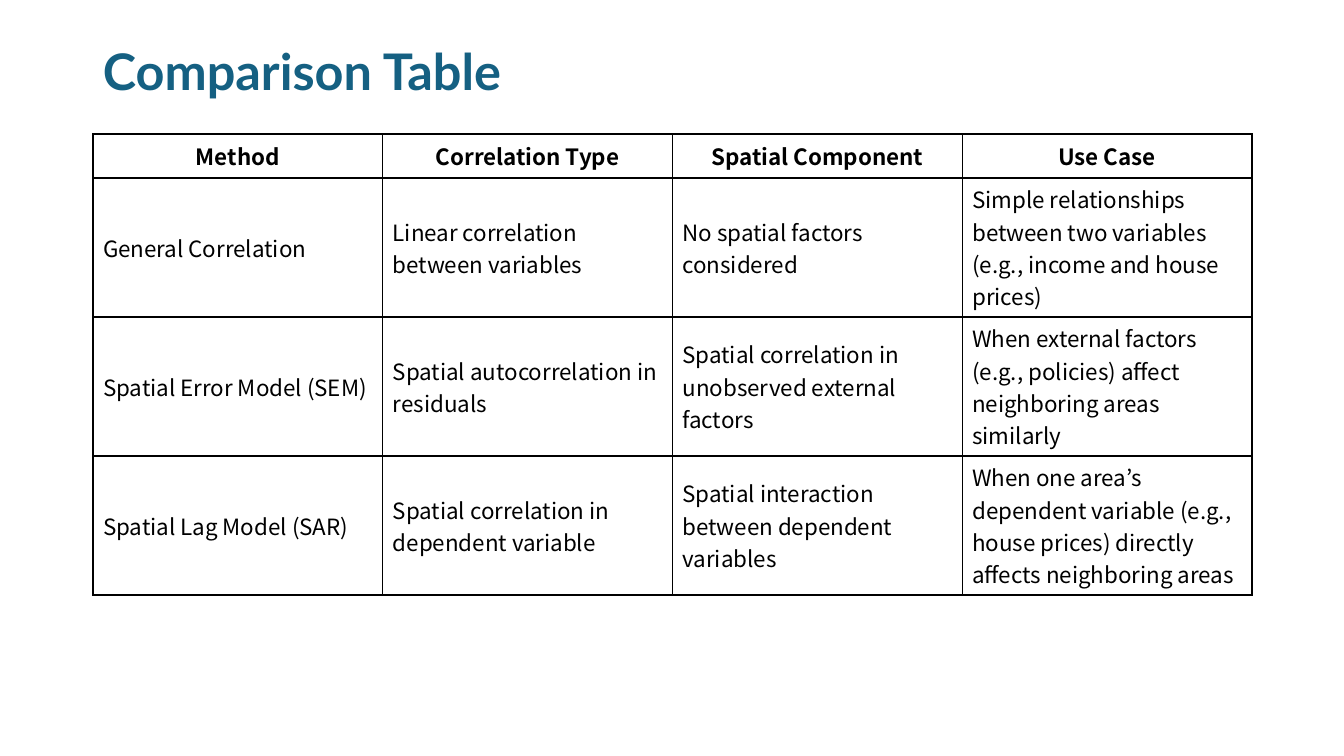
"""Build a slide with a table comparing three correlation methods."""
from dataclasses import dataclass

from lxml.etree import SubElement
from pptx import Presentation
from pptx.dml.color import RGBColor
from pptx.enum.text import MSO_ANCHOR, PP_ALIGN
from pptx.oxml.ns import qn
from pptx.util import Emu, Pt

TITLE = "Comparison Table"
HEADER = ("Method", "Correlation Type", "Spatial Component", "Use Case")
METHODS = [
    ("General Correlation",
     "Linear correlation between variables",
     "No spatial factors considered",
     "Simple relationships between two variables (e.g., income and house prices)"),
    ("Spatial Error Model (SEM)",
     "Spatial autocorrelation in residuals",
     "Spatial correlation in unobserved external factors",
     "When external factors (e.g., policies) affect neighboring areas similarly"),
    ("Spatial Lag Model (SAR)",
     "Spatial correlation in dependent variable",
     "Spatial interaction between dependent variables",
     "When one area’s dependent variable (e.g., house prices) directly affects neighboring areas"),
]

SLIDE_W, SLIDE_H = 1344, 756
LEFT, WIDTH = 93, 1159
TITLE_TOP, TITLE_H = 40, 69
TABLE_TOP, HEADER_H, METHOD_H = 134, 44, 139


@dataclass(frozen=True)
class Theme:
    """Colours, fonts and type sizes of the slide."""
    title_color: str = "156082"
    ink: str = "000000"
    title_font: str = "Lato"
    body_font: str = "Noto Sans CJK KR"
    title_size: int = 36
    body_size: int = 16
    border: int = 1


THEME = Theme()


def px(n):
    """Turn slide pixels into EMU."""
    return Emu(round(n * 914400 / 100.8))


def style(p, font, size, color, bold):
    """Set the font of a whole paragraph."""
    p.font.name = font
    p.font.size = Pt(size)
    p.font.color.rgb = RGBColor.from_string(color)
    p.font.bold = bold


def add_borders(cell):
    """Draw a solid line on all four sides of a cell."""
    tc_pr = cell._tc.get_or_add_tcPr()
    for side in ("a:lnL", "a:lnR", "a:lnT", "a:lnB"):
        ln = SubElement(tc_pr, qn(side), w=str(Pt(THEME.border)))
        fill = SubElement(ln, qn("a:solidFill"))
        SubElement(fill, qn("a:srgbClr"), val=THEME.ink)


def add_title(s):
    """Add the slide title."""
    sp = s.shapes.add_textbox(px(LEFT), px(TITLE_TOP), px(WIDTH), px(TITLE_H))
    tf = sp.text_frame
    tf.word_wrap = True
    tf.vertical_anchor = MSO_ANCHOR.MIDDLE
    p = tf.paragraphs[0]
    p.text = TITLE
    p.line_spacing = 0.9
    style(p, THEME.title_font, THEME.title_size, THEME.title_color, True)


def add_comparison(s):
    """Add the table with one header row and one row per method."""
    rows = [HEADER, *METHODS]
    heights = [HEADER_H] + [METHOD_H] * len(METHODS)
    table = s.shapes.add_table(len(rows), len(HEADER), px(LEFT), px(TABLE_TOP),
                               px(WIDTH), px(sum(heights))).table
    table.horz_banding = False
    for i, (texts, height) in enumerate(zip(rows, heights)):
        table.rows[i].height = px(height)
        is_header = i == 0
        for j, text in enumerate(texts):
            cell = table.cell(i, j)
            cell.vertical_anchor = MSO_ANCHOR.MIDDLE
            add_borders(cell)
            cell.fill.background()
            p = cell.text_frame.paragraphs[0]
            p.text = text
            p.alignment = PP_ALIGN.CENTER if is_header else PP_ALIGN.LEFT
            style(p, THEME.body_font, THEME.body_size, THEME.ink, is_header)


def main():
    """Build and save the presentation."""
    prs = Presentation()
    prs.slide_width, prs.slide_height = px(SLIDE_W), px(SLIDE_H)
    s = prs.slides.add_slide(prs.slide_layouts[6])
    add_title(s)
    add_comparison(s)
    prs.save("out.pptx")


if __name__ == "__main__":
    main()
